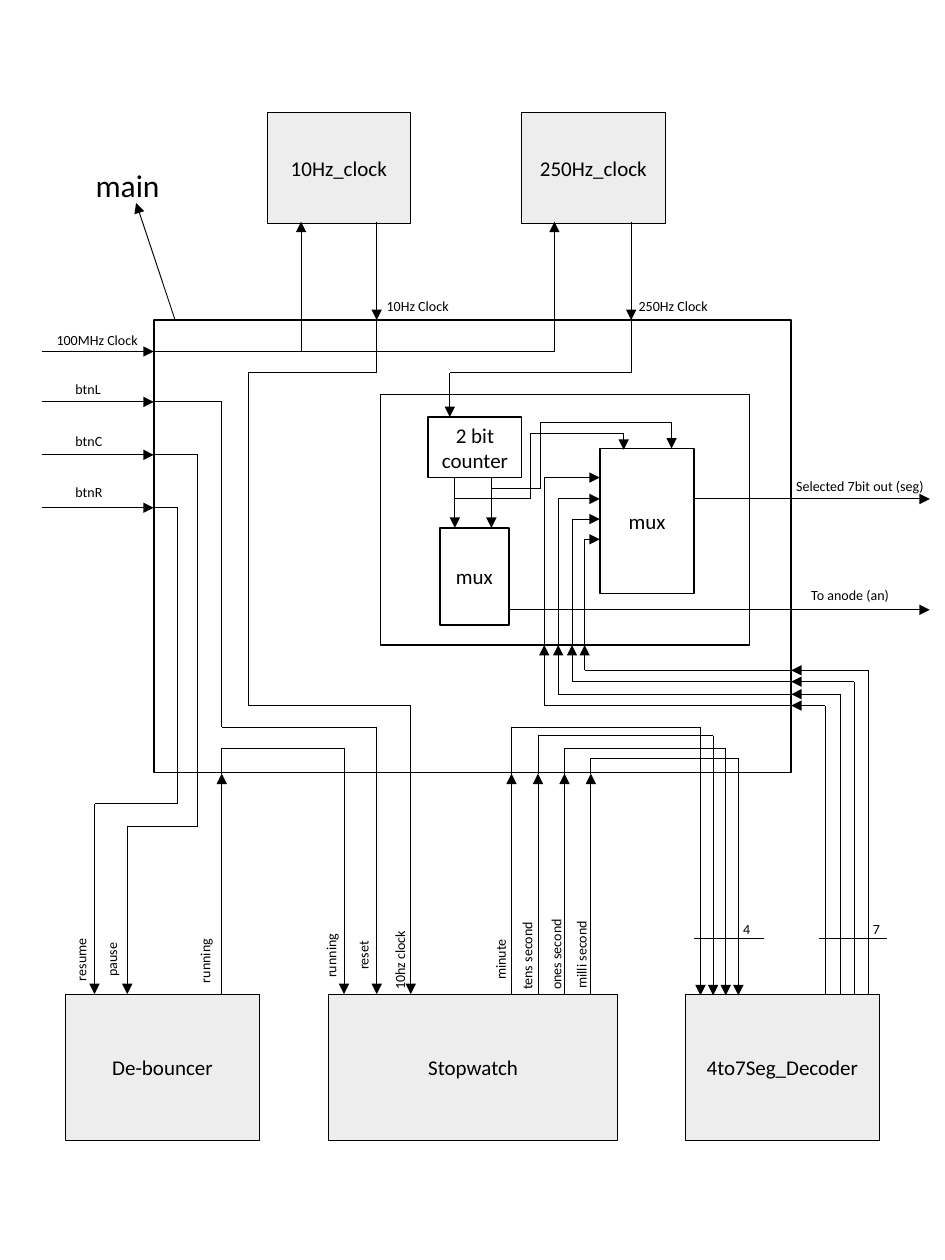
from itertools import pairwise
from lxml.etree import SubElement
from pptx import Presentation
from pptx.dml.color import RGBColor
from pptx.enum.shapes import MSO_CONNECTOR as LINK, MSO_SHAPE as SHAPE
from pptx.enum.text import MSO_ANCHOR as ANCHOR, MSO_AUTO_SIZE as FIT, PP_ALIGN as ALIGN
from pptx.oxml.ns import qn
from pptx.util import Cm, Pt

INCH = 2.54
BLACK, WHITE, GREY = "000000", "FFFFFF", "EDEDED"
ARROW = True

deck = Presentation()
deck.slide_width, deck.slide_height = Cm(7.5 * INCH), Cm(10 * INCH)
page = deck.slides.add_slide(deck.slide_layouts[6])


def write(box, text, size, align, frame_format):
    for name, value in frame_format.items():
        setattr(box.text_frame, name, value)
    para = box.text_frame.paragraphs[0]
    para.alignment = align
    span = para.add_run()
    span.text = text
    for name, value in {"name": "Calibri", "size": Pt(size)}.items():
        setattr(span.font, name, value)
    span.font.color.rgb = RGBColor.from_string(BLACK)


def draw_wire(points):
    for start, end in pairwise(points):
        ends = [Cm(value * INCH) for value in (*start[:2], *end[:2])]
        wire = page.shapes.add_connector(LINK.STRAIGHT, *ends)
        wire.line.width = Pt(0.5)
        wire.line.color.rgb = RGBColor.from_string(BLACK)
        if ARROW in end[2:]:
            SubElement(wire.line._get_or_add_ln(), qn("a:tailEnd"), type="triangle")
        SubElement(wire._element.spPr, qn("a:effectLst"))


blocks = [
    ("", 1.22, 2.54, 5.06, 3.59, WHITE, 1),
    ("10Hz_clock", 2.12, 0.89, 1.14, 0.88, GREY, 0.5),
    ("250Hz_clock", 4.14, 0.89, 1.14, 0.88, GREY, 0.5),
    ("De-bouncer", 0.52, 7.89, 1.54, 1.16, GREY, 0.5),
    ("Stopwatch", 2.61, 7.89, 2.29, 1.16, GREY, 0.5),
    ("4to7Seg_Decoder", 5.44, 7.89, 1.54, 1.16, GREY, 0.5),
    ("", 3.02, 3.13, 2.93, 1.99, WHITE, 1),
    ("2 bit counter", 3.4, 3.31, 0.74, 0.48, WHITE, 1),
    ("mux", 4.76, 3.56, 0.75, 1.15, WHITE, 1),
    ("mux", 3.49, 4.19, 0.55, 0.77, WHITE, 1),
]
for text, left, top, width, height, fill, weight in blocks:
    frame = [Cm(value * INCH) for value in (left, top, width, height)]
    block = page.shapes.add_shape(SHAPE.RECTANGLE, *frame)
    block.shadow.inherit = False
    block.fill.solid()
    block.fill.fore_color.rgb = RGBColor.from_string(fill)
    block.line.color.rgb = RGBColor.from_string(BLACK)
    block.line.width = Pt(weight)
    if text:
        write(block, text, 12, ALIGN.CENTER,
              {"word_wrap": True, "vertical_anchor": ANCHOR.MIDDLE})

wires = [
    [(0.33, 2.79), (1.22, 2.79, ARROW), (2.39, 2.79), (2.39, 2.54), (2.39, 1.76, ARROW)],
    [(2.39, 2.79), (4.4, 2.79), (4.4, 2.54), (4.4, 1.76, ARROW)],
    [(2.99, 1.76), (2.99, 2.54, ARROW), (2.99, 2.96), (1.97, 2.96),
     (1.97, 5.6), (3.26, 5.6), (3.26, 7.89, ARROW)],
    [(5.01, 1.76), (5.01, 2.54, ARROW), (5.01, 2.96), (3.57, 2.96), (3.57, 3.31, ARROW)],
    [(1.76, 7.89), (1.76, 6.14, ARROW), (1.76, 5.94), (2.73, 5.94), (2.73, 7.89, ARROW)],
    [(3.61, 3.79), (3.61, 3.96), (3.61, 4.19, ARROW)],
    [(3.61, 3.96), (4.21, 3.96), (4.21, 3.44), (4.95, 3.44), (4.95, 3.57, ARROW)],
    [(3.9, 3.79), (3.9, 3.88), (3.9, 4.19, ARROW)],
    [(3.9, 3.88), (4.29, 3.88), (4.29, 3.35), (5.33, 3.35), (5.33, 3.56, ARROW)],
    [(4.05, 4.84), (7.38, 4.84, ARROW)],
    [(5.51, 3.96), (7.38, 3.96, ARROW)],
    [(5.51, 7.45), (6.06, 7.45)],
    [(6.5, 7.45), (7.04, 7.45)],
    [(1.39, 2.54), (1.08, 1.61, ARROW)],
]
buttons = [(3.19, 1.76, 5.77, 2.99), (3.61, 1.57, 6.56, 1.01), (4.03, 1.41, 6.38, 0.75)]
for entry, turn, level, target in buttons:
    wires.append([(0.33, entry), (1.22, entry, ARROW), (turn, entry), (turn, level),
                  (target, level), (target, 7.89, ARROW)])
for index, level in enumerate([5.77, 5.84, 5.94, 6.02]):
    digit, decoder = 4.06 + 0.21 * index, 5.56 + 0.1 * index
    wires.append([(digit, 7.89), (digit, 6.14, ARROW), (digit, level),
                  (decoder, level), (decoder, 7.9, ARROW)])
segments = [(6.55, 5.6, 4.32, 3.79), (6.67, 5.51, 4.43, 3.96),
            (6.78, 5.41, 4.54, 4.12), (6.89, 5.32, 4.64, 4.28)]
for source, level, column, port in segments:
    wires.append([(source, 7.89), (source, level), (6.28, level, ARROW), (column, level),
                  (column, 5.12, ARROW), (column, port), (4.76, port, ARROW)])
for points in wires:
    draw_wire(points)

labels = [
    ("100MHz Clock", 0.35, 2.58, 0.85, 0),
    ("btnL", 0.5, 2.97, 0.41, 0),
    ("btnC", 0.5, 3.38, 0.42, 0),
    ("btnR", 0.5, 3.79, 0.42, 0),
    ("resume", 0.37, 7.49, 0.55, 270),
    ("pause", 0.65, 7.49, 0.48, 270),
    ("running", 1.35, 7.5, 0.56, 270),
    ("running", 2.35, 7.46, 0.56, 270),
    ("reset", 2.67, 7.46, 0.43, 270),
    ("10hz clock", 2.84, 7.5, 0.67, 270),
    ("minute", 3.71, 7.49, 0.53, 270),
    ("tens second", 3.81, 7.46, 0.75, 270),
    ("ones second", 4.03, 7.45, 0.77, 270),
    ("milli second", 4.24, 7.45, 0.75, 270),
    ("4", 5.8, 7.26, 0.26, 0),
    ("7", 6.83, 7.26, 0.26, 0),
    ("10Hz Clock", 2.97, 2.31, 0.7, 0),
    ("250Hz Clock", 4.97, 2.31, 0.75, 0),
    ("To anode (an)", 6.34, 4.61, 0.83, 0),
    ("Selected 7bit out (seg)", 6.22, 3.74, 1.22, 0),
    ("main", 0.66, 1.27, 0.72, 0),
]
for text, left, top, width, rotation in labels:
    size, height = (18, 0.4) if text == "main" else (8, 0.24)
    frame = [Cm(value * INCH) for value in (left, top, width, height)]
    label = page.shapes.add_textbox(*frame)
    label.rotation = rotation
    write(label, text, size, ALIGN.LEFT,
          {"word_wrap": False, "auto_size": FIT.SHAPE_TO_FIT_TEXT})

deck.save("out.pptx")
